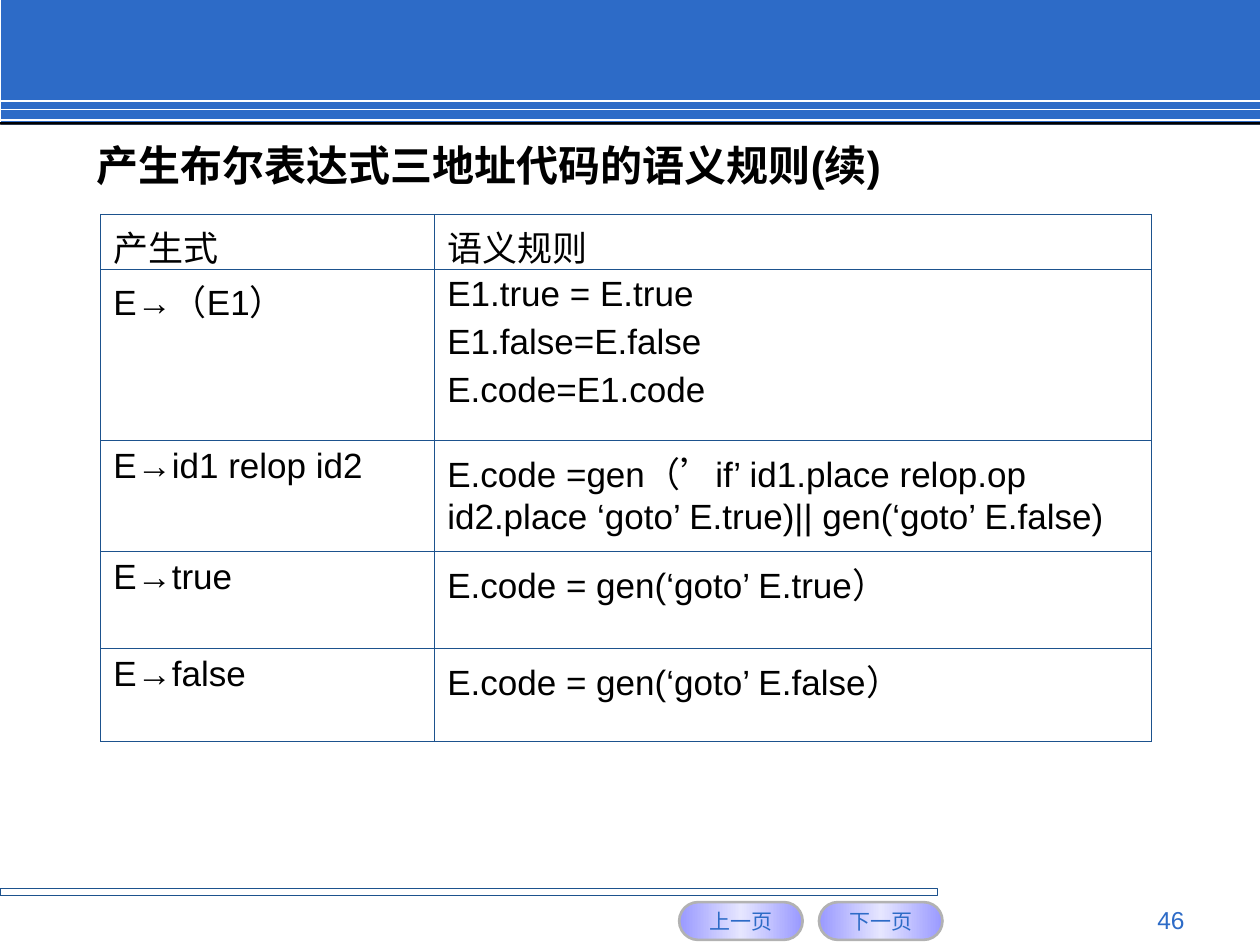
"""Build a slide with a table of semantic rules for boolean expressions."""
from copy import deepcopy
from typing import NamedTuple, Optional

from lxml import etree
from pptx import Presentation
from pptx import util as u
from pptx.dml.color import RGBColor
from pptx.enum import shapes, text
from pptx.oxml import ns

BLUE = RGBColor(0x2D, 0x6B, 0xC7)
NAVY = RGBColor(0x1D, 0x52, 0x8D)
LILAC = RGBColor(0x99, 0x99, 0xFF)
PALE = RGBColor(0xE6, 0xE6, 0xFF)
GRAY = RGBColor(0xB2, 0xB2, 0xB2)
BLACK = RGBColor(0, 0, 0)
WHITE = RGBColor(0xFF, 0xFF, 0xFF)


class Box(NamedTuple):
    left: float
    top: float
    width: float
    height: float


class Bar(NamedTuple):
    box: Box
    fill: Optional[RGBColor] = None
    line: Optional[RGBColor] = None


class Button(NamedTuple):
    label: str
    left: float


class Label(NamedTuple):
    label: str
    box: Box
    size: int
    color: RGBColor
    align: text.PP_ALIGN = text.PP_ALIGN.LEFT
    anchor: text.MSO_ANCHOR = text.MSO_ANCHOR.TOP
    bold: bool = False


class Rule(NamedTuple):
    production: str
    semantics: str
    height: float


BANNER = Bar(Box(0.01, 0, 9.99, 0.99), fill=BLUE)
BANNER_LINES = (0.8, 0.87, 0.95)
BARS = (
    Bar(Box(0, 0.97, 10, 0.02), fill=BLACK),
    Bar(Box(0, 7.05, 7.44, 0.06), line=NAVY),
)
BUTTONS = (Button("上一页", 5.39), Button("下一页", 6.5))
LABELS = (
    Label("46", Box(7.17, 7.13, 2.33, 0.27), 14, BLUE, text.PP_ALIGN.RIGHT),
    Label("产生布尔表达式三地址代码的语义规则(续)", Box(0.67, 0.68, 8.33, 1.25),
          24, BLACK, anchor=text.MSO_ANCHOR.MIDDLE, bold=True),
)
COLUMNS = (2.65, 5.69)
RULES = (
    Rule("产生式", "语义规则", 0.43),
    Rule("E→（E1）", "E1.true = E.true\nE1.false=E.false\nE.code=E1.code", 1.36),
    Rule("E→id1 relop id2",
         "E.code =gen（’if’ id1.place relop.op id2.place ‘goto’ E.true)"
         "|| gen(‘goto’ E.false)", 0.88),
    Rule("E→true", "E.code = gen(‘goto’ E.true）", 0.77),
    Rule("E→false", "E.code = gen(‘goto’ E.false）", 0.74),
)


def inches(box: Box) -> list:
    return [u.Inches(v) for v in box]


def format_text(tf, size: int, color: RGBColor, bold: bool = False,
                align=text.PP_ALIGN.LEFT) -> None:
    for i, p in enumerate(tf.paragraphs):
        p.alignment = align
        if i:
            p.space_before = u.Pt(5)
        for r in p.runs:
            r.font.name = "Arial"
            r.font.size = u.Pt(size)
            r.font.bold = bold
            r.font.color.rgb = color


def add_bar(s, bar: Bar) -> None:
    sp = s.shapes.add_shape(shapes.MSO_SHAPE.RECTANGLE, *inches(bar.box))
    sp.shadow.inherit = False
    if bar.fill is None:
        sp.fill.background()
    else:
        sp.fill.solid()
        sp.fill.fore_color.rgb = bar.fill
    if bar.line is None:
        sp.line.fill.background()
    else:
        sp.line.color.rgb = bar.line
        sp.line.width = u.Pt(0.75)


def add_banner_line(s, top: float) -> None:
    line = s.shapes.add_connector(shapes.MSO_CONNECTOR.STRAIGHT, u.Inches(0),
                                  u.Inches(top), u.Inches(10), u.Inches(top))
    line.line.color.rgb = WHITE
    line.line.width = u.Pt(1)
    etree.SubElement(line._element.spPr, ns.qn("a:effectLst"))


def add_button(s, button: Button) -> None:
    sp = s.shapes.add_shape(shapes.MSO_SHAPE.ROUNDED_RECTANGLE,
                            *inches(Box(button.left, 7.16, 0.98, 0.3)))
    sp.adjustments[0] = 0.5
    sp.shadow.inherit = False
    sp.fill.gradient()
    sp.fill.gradient_angle = 0
    stops = sp._element.spPr.find(".//" + ns.qn("a:gsLst"))
    stops.append(deepcopy(stops[0]))
    for i, (stop, color) in enumerate(zip(sp.fill.gradient_stops, (LILAC, PALE, LILAC))):
        stop.position = i / 2
        stop.color.rgb = color
    sp.line.color.rgb = GRAY
    sp.line.width = u.Pt(1.5)
    tf = sp.text_frame
    tf.word_wrap = False
    tf.vertical_anchor = text.MSO_ANCHOR.MIDDLE
    tf.text = button.label
    format_text(tf, 12, BLUE, align=text.PP_ALIGN.CENTER)


def add_label(s, label: Label) -> None:
    tf = s.shapes.add_textbox(*inches(label.box)).text_frame
    tf.word_wrap = True
    tf.vertical_anchor = label.anchor
    tf.text = label.label
    format_text(tf, label.size, label.color, label.bold, label.align)


def add_borders(cell) -> None:
    tc_pr = cell._tc.get_or_add_tcPr()
    for side in ("lnL", "lnR", "lnT", "lnB"):
        ln = etree.SubElement(tc_pr, ns.qn("a:" + side), w=str(u.Pt(0.45)))
        fill = etree.SubElement(ln, ns.qn("a:solidFill"))
        etree.SubElement(fill, ns.qn("a:srgbClr"), val=str(NAVY))


def add_rules(s) -> None:
    table = s.shapes.add_table(len(RULES), len(COLUMNS),
                               *inches(Box(0.8, 1.7, 8.34, 4.18))).table
    table.first_row = table.horz_banding = False
    for column, width in zip(table.columns, COLUMNS):
        column.width = u.Inches(width)
    for row, rule in zip(table.rows, RULES):
        row.height = u.Inches(rule.height)
        for cell, content in zip(row.cells, (rule.production, rule.semantics)):
            add_borders(cell)
            cell.fill.background()
            cell.text_frame.text = content
            format_text(cell.text_frame, 20, BLACK)


def main() -> None:
    prs = Presentation()
    prs.slide_width, prs.slide_height = u.Inches(10), u.Inches(7.5)
    s = prs.slides.add_slide(prs.slide_layouts[6])
    add_bar(s, BANNER)
    for top in BANNER_LINES:
        add_banner_line(s, top)
    for bar in BARS:
        add_bar(s, bar)
    for button in BUTTONS:
        add_button(s, button)
    for label in LABELS:
        add_label(s, label)
    add_rules(s)
    prs.save("out.pptx")


if __name__ == "__main__":
    main()
